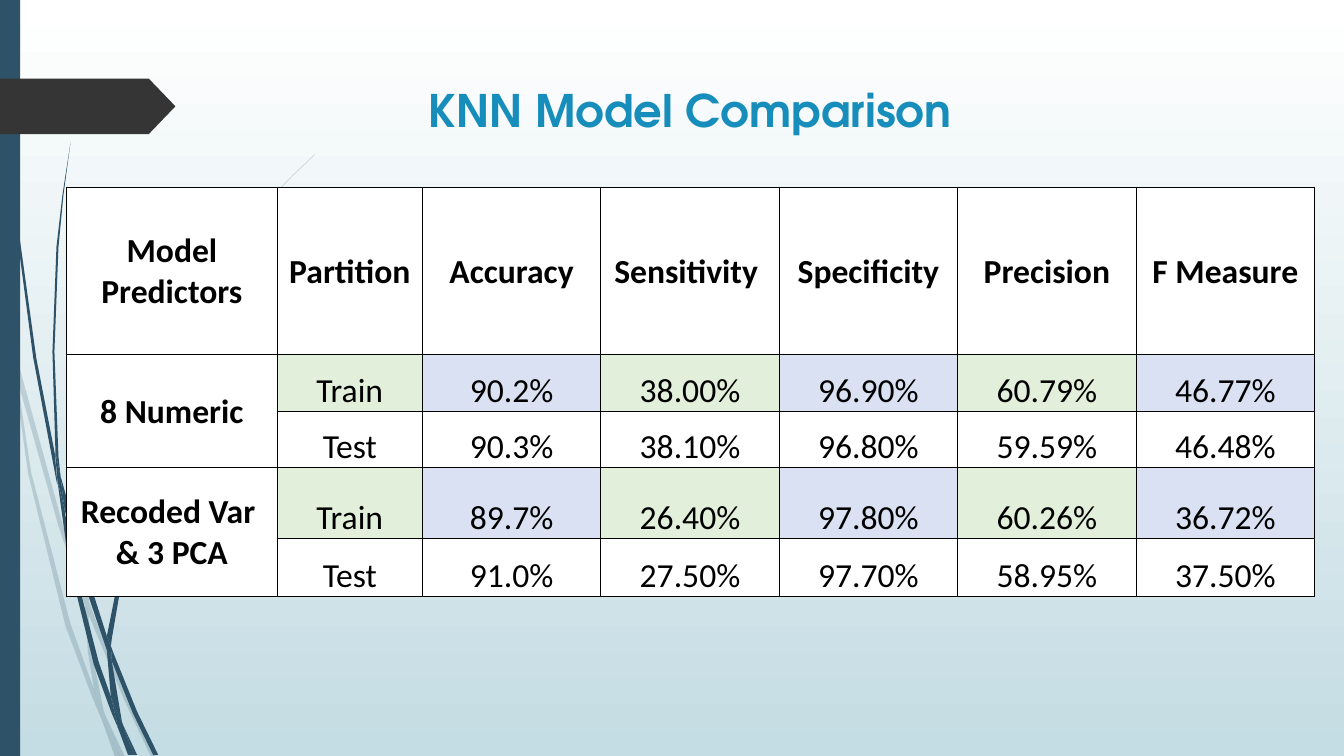
from lxml import etree
from pptx import Presentation
from pptx import util as u
from pptx.dml.color import RGBColor
from pptx.enum import shapes, text
from pptx.oxml.ns import qn

STEEL, CHARCOAL, SKY = "2E5369", "353535", "168DBA"
BLACK, WHITE, GREEN, LAVENDER = "000000", "FFFFFF", "E2EFDA", "D9E1F2"

PALE_BLADES = [
    "11 350 9 322 0 282 0 299 10 344",
    "58 522 84 599 85 586 62 520 14 345 17 376",
    "92 607 88 596 88 610 123 694 150 751 155 751 127 692",
    "119 751 124 751 105 711",
    "93 683 70 619 31 469 17 376 11 350 28 470 65 621 92 693 101 714 99 707",
    "84 599 87 646 93 683 96 692 105 711 103 706 91 646 88 610 88 608",
    "88 584 110 462 160 349 229 245 268 198 290 175 312 154 312 153 289 175 "
    "268 197 228 244 158 348 107 461 85 584 85 586 88 596",
    "101 714 114 751 119 751",
    "88 608 88 610 88 596 85 586 84 599",
    "96 692 93 683 99 707 101 714 119 751 105 711",
]
DARK_BLADES = [
    "7 110 17 233 33 355 56 477 57 481 55 457 55 453 36 355 19 232 8 109 5 48 4 0 3 0 4 48",
    "88 592 106 645 106 633 106 631 93 590 60 472 64 505",
    "113 649 110 641 111 656 132 708 152 749 157 749 136 706",
    "110 691 98 657 72 556 64 505 57 477 68 557 93 659 111 708 117 722 116 717",
    "60 472 58 453 54 349 58 245 63 193 70 141 62 193 56 245 52 349 55 449",
    "133 749 136 749 122 719",
    "57 477 64 505 60 472 55 449 55 453",
    "111 633 125 552 158 476 205 406 231 374 245 359 261 344 260 344 245 358 "
    "231 373 204 405 156 474 122 551 106 631 110 641",
    "117 722 127 749 131 749",
    "106 645 110 691 116 706 122 719 121 716 111 656 109 651",
    "106 645 109 651 111 656 110 641 106 631 106 633",
    "116 706 110 691 116 717 117 722 130 749 133 749 122 719",
]

COLUMN_WIDTHS = [2.09, 1.44] + [1.77] * 5
ROW_HEIGHTS = [1.66, 0.56, 0.56, 0.7, 0.58]
ROWS = [
    ["Model Predictors", "Partition", "Accuracy", "Sensitivity ", "Specificity",
     "Precision", "F Measure"],
    ["8 Numeric", "Train", "90.2%", "38.00%", "96.90%", "60.79%", "46.77%"],
    ["", "Test", "90.3%", "38.10%", "96.80%", "59.59%", "46.48%"],
    ["Recoded Var \n& 3 PCA", "Train", "89.7%", "26.40%", "97.80%", "60.26%", "36.72%"],
    ["", "Test", "91.0%", "27.50%", "97.70%", "58.95%", "37.50%"],
]
NO_STYLE = "{2D5ABB26-0587-4C30-8999-92F81FD0307C}"


def rgb(value):
    return RGBColor.from_string(value)


def paint(sp, color):
    sp.shadow.inherit = False
    sp.fill.solid()
    sp.fill.fore_color.rgb = rgb(color)
    sp.line.fill.background()


def add_block(slide, kind, left, top, width, height, color):
    sp = slide.shapes.add_shape(kind, *map(u.Inches, (left, top, width, height)))
    paint(sp, color)
    return sp


def add_blades(slide, left, top, blades, opacity):
    for blade in blades:
        numbers = [int(n) for n in blade.split()]
        points = list(zip(numbers[::2], numbers[1::2]))
        builder = slide.shapes.build_freeform(*points[0], scale=u.Inches(0.01))
        builder.add_line_segments(points[1:], close=True)
        sp = builder.convert_to_shape(u.Inches(left), u.Inches(top))
        paint(sp, STEEL)
        if opacity < 100:
            color = sp._element.spPr.find(".//" + qn("a:srgbClr"))
            etree.SubElement(color, qn("a:alpha"), val=str(opacity * 1000))


def add_backdrop(slide, left, top, height):
    fill = slide.background.fill
    fill.gradient()
    fill.gradient_angle = 270
    for stop, color in zip(fill.gradient_stops, (WHITE, "C4DCE3")):
        stop.color.rgb = rgb(color)
    add_blades(slide, left, top, PALE_BLADES, 20)
    add_blades(slide, left, top, DARK_BLADES, 100)
    add_block(slide, shapes.MSO_SHAPE.RECTANGLE, left, top, 0.2, height, STEEL)
    marker = add_block(slide, shapes.MSO_SHAPE.PENTAGON, left, top + 0.78, 1.74, 0.55, CHARCOAL)
    marker.adjustments[0] = 0.48


def add_title(slide, left, top, width, height):
    title = slide.shapes.title
    title.left, title.top, title.width, title.height = map(u.Inches, (left, top, width, height))
    tf = title.text_frame
    tf.text = "KNN Model Comparison"
    tf.word_wrap = True
    tf.auto_size = text.MSO_AUTO_SIZE.NONE
    tf.vertical_anchor = text.MSO_ANCHOR.TOP
    p = tf.paragraphs[0]
    p.alignment = text.PP_ALIGN.CENTER
    p.font.name, p.font.size, p.font.bold = "TeX Gyre Adventor", u.Pt(32), True
    p.font.color.rgb = rgb(SKY)


def add_borders(cell, sides):
    tc_pr = cell._tc.get_or_add_tcPr()
    for side in sides:
        line = etree.SubElement(tc_pr, qn("a:ln" + side), w=str(u.Pt(1)))
        fill = etree.SubElement(line, qn("a:solidFill"))
        etree.SubElement(fill, qn("a:srgbClr"), val=BLACK)


def format_cell(cell, value, heading, sides, color):
    add_borders(cell, sides)
    cell.fill.solid()
    cell.fill.fore_color.rgb = rgb(color)
    cell.margin_left = cell.margin_right = cell.margin_top = u.Inches(0.01)
    cell.margin_bottom = 0
    cell.vertical_anchor = text.MSO_ANCHOR.MIDDLE if heading else text.MSO_ANCHOR.BOTTOM
    cell.text_frame.text = value
    for p in cell.text_frame.paragraphs:
        p.alignment = text.PP_ALIGN.CENTER
        p.font.name, p.font.size, p.font.bold = "Calibri", u.Pt(24), heading
        p.font.color.rgb = rgb(BLACK)


def add_comparison(slide, left, top):
    frame = slide.shapes.add_table(
        len(ROWS), len(COLUMN_WIDTHS), u.Inches(left), u.Inches(top),
        u.Inches(sum(COLUMN_WIDTHS)), u.Inches(sum(ROW_HEIGHTS)))
    table = frame.table
    table.first_row = table.horz_banding = False
    table._tbl.tblPr.find(qn("a:tableStyleId")).text = NO_STYLE
    for column, width in zip(table.columns, COLUMN_WIDTHS):
        column.width = u.Inches(width)
    for row, height in zip(table.rows, ROW_HEIGHTS):
        row.height = u.Inches(height)
    for r, values in enumerate(ROWS):
        for c, value in enumerate(values):
            heading = r == 0 or c == 0
            train = not heading and r % 2 == 1
            sides = "LRTB" if heading else "LRT" if train else "LRB"
            color = (LAVENDER, GREEN)[c % 2] if train else WHITE
            format_cell(table.cell(r, c), value, heading, sides, color)
    for r in (1, 3):
        table.cell(r, 0).merge(table.cell(r + 1, 0))


def main():
    prs = Presentation()
    prs.slide_width, prs.slide_height = u.Inches(13.33), u.Inches(7.5)
    slide = prs.slides.add_slide(prs.slide_layouts[5])
    add_backdrop(slide, 0, 0, 7.5)
    add_title(slide, 0.2, 0.77, 13.29, 1.09)
    add_comparison(slide, 0.66, 1.86)
    prs.save("out.pptx")


if __name__ == "__main__":
    main()
